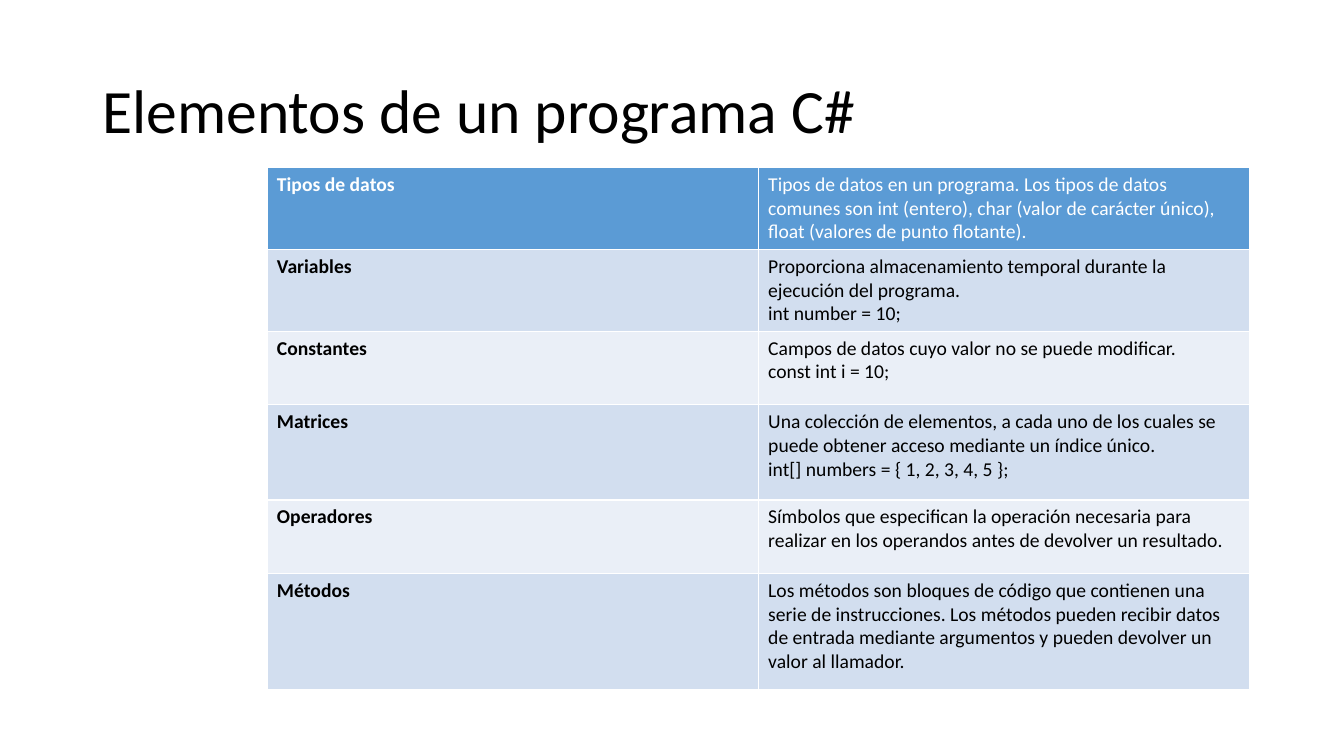
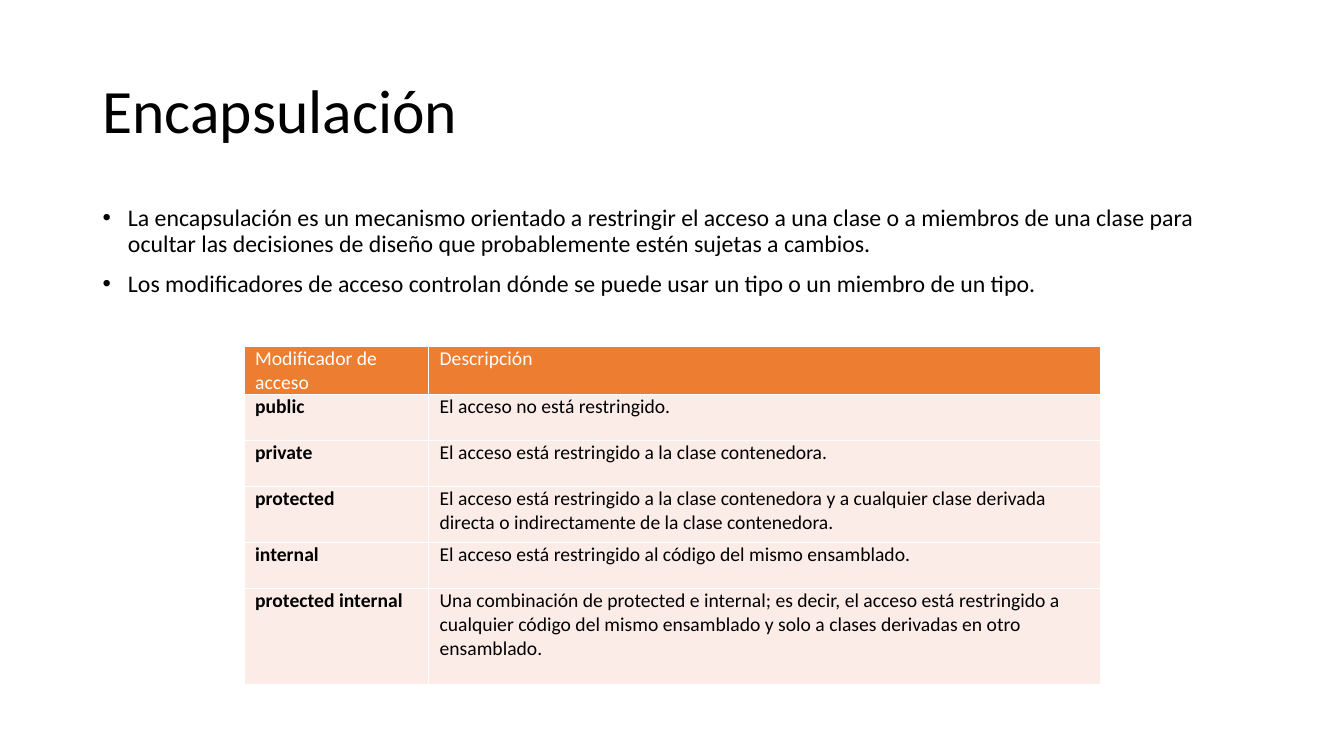
import pptx
import pptx.dml.color
import pptx.enum.text
import pptx.util

Cm = pptx.util.Cm
Pt = pptx.util.Pt
RGBColor = pptx.dml.color.RGBColor

FONT = "Calibri"
BLACK = RGBColor(0x00, 0x00, 0x00)
WHITE = RGBColor(0xFF, 0xFF, 0xFF)
BLUE = RGBColor(0x5B, 0x9B, 0xD5)
BLUE_BAND = RGBColor(0xD2, 0xDE, 0xEF)
BLUE_PALE = RGBColor(0xEA, 0xEF, 0xF7)
ORANGE = RGBColor(0xED, 0x7D, 0x31)
ORANGE_PALE = RGBColor(0xFC, 0xEC, 0xE8)

TITLE_ONLY, TITLE_AND_BODY = 5, 1
MARGIN, CONTENT_WIDTH = Cm(2.33), Cm(29.21)


def fill_placeholder(holder, text, top, height, size):
    """Place a title or body at the slide margins and format its text."""
    holder.left, holder.top = MARGIN, top
    holder.width, holder.height = CONTENT_WIDTH, height
    frame = holder.text_frame
    frame.text = text
    frame.auto_size = pptx.enum.text.MSO_AUTO_SIZE.NONE
    for paragraph in frame.paragraphs:
        paragraph.alignment = pptx.enum.text.PP_ALIGN.LEFT
        paragraph.line_spacing = 0.9
        font = paragraph.runs[0].font
        font.name, font.size, font.color.rgb = FONT, size, BLACK


def add_term_table(slide, left, top, widths, heights, rows, header_fill, bands, bold_header, margins):
    """Add a table of bold terms and descriptions; margins are left, top, right, bottom."""
    table = slide.shapes.add_table(len(rows), len(widths), left, top, sum(widths), sum(heights)).table
    for column, width in zip(table.columns, widths):
        column.width = width
    for r, texts in enumerate(rows):
        table.rows[r].height = heights[r]
        for c, text in enumerate(texts):
            cell = table.cell(r, c)
            cell.margin_left, cell.margin_top, cell.margin_right, cell.margin_bottom = margins
            cell.fill.solid()
            cell.fill.fore_color.rgb = header_fill if r == 0 else bands[(r - 1) % len(bands)]
            cell.text_frame.text = text
            for paragraph in cell.text_frame.paragraphs:
                font = paragraph.runs[0].font
                font.name, font.size = FONT, Pt(14)
                font.bold = c == 0 and (r > 0 or bold_header)
                font.color.rgb = WHITE if r == 0 else BLACK


deck = pptx.Presentation()
deck.slide_width, deck.slide_height = Cm(33.87), Cm(19.05)
slides = []
for title, layout in [
    ("Elementos de un programa C#", TITLE_ONLY),
    ("Encapsulación", TITLE_AND_BODY),
]:
    slide = deck.slides.add_slide(deck.slide_layouts[layout])
    fill_placeholder(slide.shapes.title, title, Cm(1.01), Cm(3.68), Pt(44))
    slide.shapes.title.text_frame.vertical_anchor = pptx.enum.text.MSO_ANCHOR.MIDDLE
    slides.append(slide)
elements_slide, encapsulation_slide = slides

# Elementos de un programa
program_elements = [
    ("Tipos de datos",
     "Tipos de datos en un programa. Los tipos de datos comunes son int (entero), "
     "char (valor de carácter único), float (valores de punto flotante)."),
    ("Variables",
     "Proporciona almacenamiento temporal durante la ejecución del programa.\n"
     "int number = 10;"),
    ("Constantes",
     "Campos de datos cuyo valor no se puede modificar.\nconst int i = 10;"),
    ("Matrices",
     "Una colección de elementos, a cada uno de los cuales se puede obtener acceso "
     "mediante un índice único.\nint[] numbers = { 1, 2, 3, 4, 5 };"),
    ("Operadores",
     "Símbolos que especifican la operación necesaria para realizar en los operandos "
     "antes de devolver un resultado."),
    ("Métodos",
     "Los métodos son bloques de código que contienen una serie de instrucciones. "
     "Los métodos pueden recibir datos de entrada mediante argumentos y pueden "
     "devolver un valor al llamador."),
]
add_term_table(
    elements_slide, Cm(6.73), Cm(4.22), [Cm(12.38)] * 2,
    [Cm(h) for h in (1.85, 1.85, 1.85, 2.4, 1.85, 2.94)],
    program_elements, BLUE, [BLUE_BAND, BLUE_PALE], True,
    (Cm(0.25), Cm(0.13), Cm(0.25), Cm(0.13)),
)

# Encapsulación
body = encapsulation_slide.placeholders[1]
fill_placeholder(
    body,
    "La encapsulación es un mecanismo orientado a restringir el acceso a una clase o a "
    "miembros de una clase para ocultar las decisiones de diseño que probablemente estén "
    "sujetas a cambios.\n"
    "Los modificadores de acceso controlan dónde se puede usar un tipo o un miembro de un tipo.",
    Cm(5.07), Cm(12.09), Pt(17),
)
for paragraph in body.text_frame.paragraphs:
    paragraph.space_before = Pt(10)
    properties = paragraph._p.get_or_add_pPr()
    properties.set("marL", str(Cm(0.64)))
    properties.set("indent", str(-Cm(0.64)))

access_modifiers = [
    ("Modificador de acceso", "Descripción"),
    ("public", "El acceso no está restringido."),
    ("private", "El acceso está restringido a la clase contenedora."),
    ("protected",
     "El acceso está restringido a la clase contenedora y a cualquier clase derivada "
     "directa o indirectamente de la clase contenedora."),
    ("internal", "El acceso está restringido al código del mismo ensamblado."),
    ("protected internal",
     "Una combinación de protected e internal; es decir, el acceso está restringido a "
     "cualquier código del mismo ensamblado y solo a clases derivadas en otro ensamblado."),
]
add_term_table(
    encapsulation_slide, Cm(6.15), Cm(8.74), [Cm(4.65), Cm(16.94)],
    [Cm(h) for h in (1.16, 1.16, 1.16, 1.41, 1.16, 2.42)],
    access_modifiers, ORANGE, [ORANGE_PALE], False,
    (Cm(0.28), Cm(0), Cm(0.18), Cm(0)),
)

deck.save("out.pptx")
